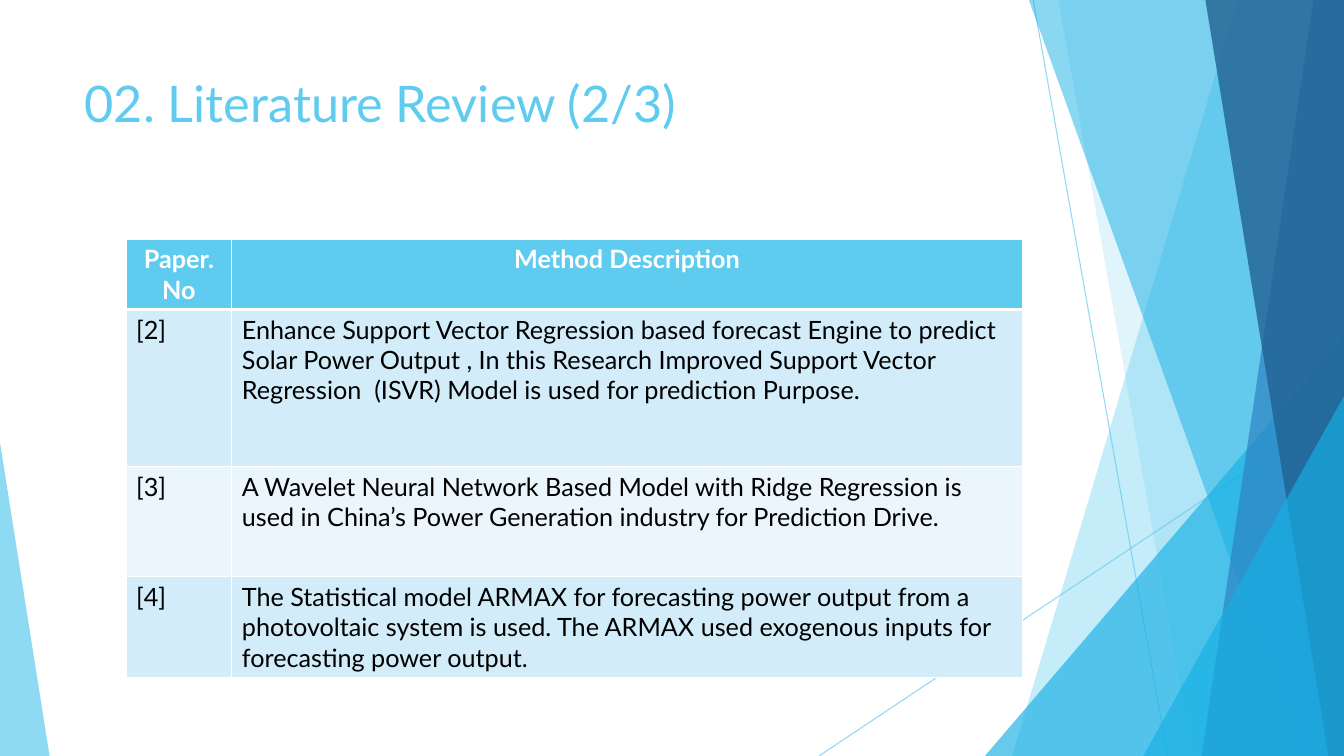
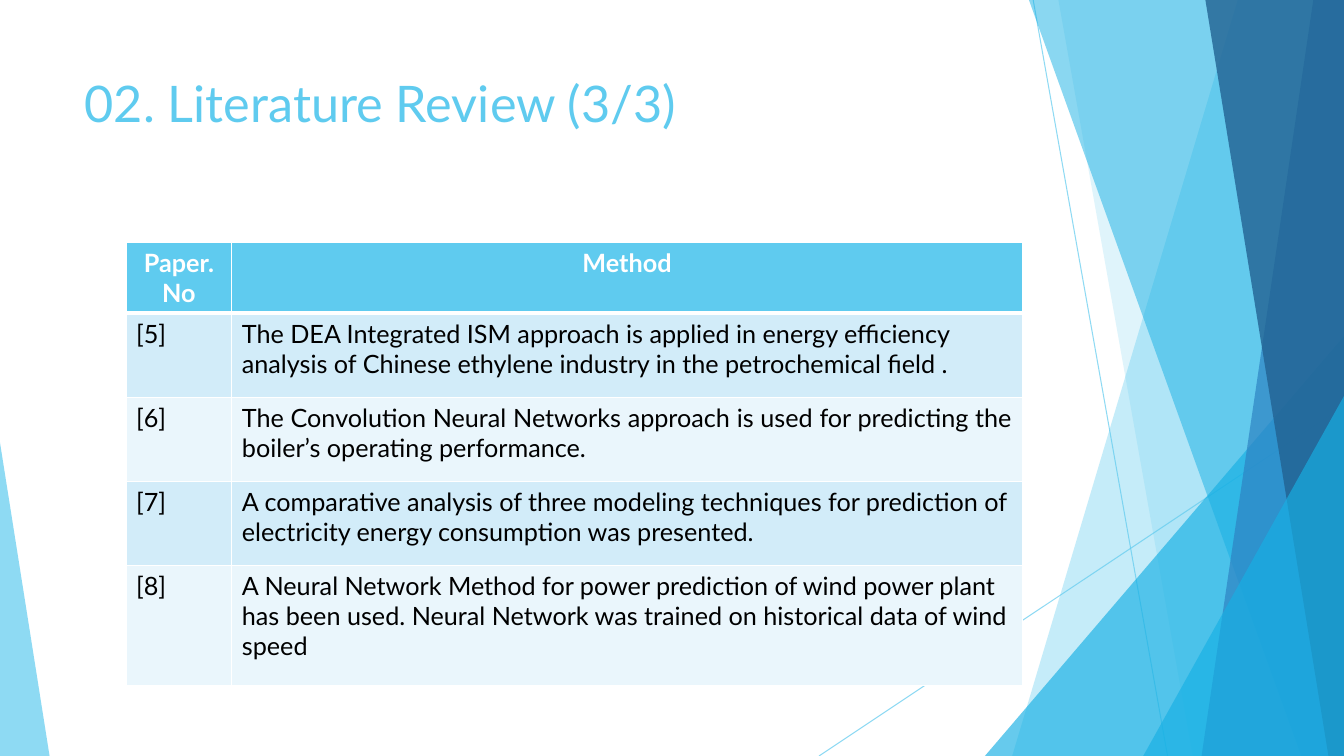
from dataclasses import dataclass
from pptx import Presentation
from pptx.dml.color import RGBColor as RGB
from pptx.enum.shapes import MSO_CONNECTOR as Conn, MSO_SHAPE as Shape
from pptx.enum.text import MSO_ANCHOR as Anchor, PP_ALIGN as Align
from pptx.oxml.ns import qn
from pptx.util import Inches, Pt
from lxml.etree import SubElement


@dataclass(frozen=True)
class Theme:
    font: str = "Lato"
    title_size: int = 36
    table_size: int = 18
    hairline: float = 0.75
    cell_line: float = 1
    header_line: float = 3
    sky: str = "5FCBEF"
    cyan: str = "17B0E4"
    blue: str = "2E83C3"
    navy: str = "226292"
    white: str = "FFFFFF"
    black: str = "000000"
    stripes: tuple = ("D2ECF9", "EAF6FC")


# Grid of square cells covering the slide
COLS, ROWS = 32, 18
WIDTH, HEIGHT = Inches(40 / 3), Inches(7.5)


class Deck:
    def __init__(self, theme):
        self.theme = theme
        self.prs = Presentation()
        self.prs.slide_width, self.prs.slide_height = WIDTH, HEIGHT
        self.s = None

    def at(self, *cells):
        """Turn grid lengths into slide lengths."""
        return [round(c * HEIGHT / ROWS) for c in cells]

    def new_slide(self):
        self.s = self.prs.slides.add_slide(self.prs.slide_layouts[6])

    def fade(self, parent, percent):
        color = parent.find(qn("a:solidFill"))[0]
        SubElement(color, qn("a:alpha"), val=str(percent * 1000))

    def paint(self, sp, color, percent):
        sp.shadow.inherit = False
        sp.fill.solid()
        sp.fill.fore_color.rgb = RGB.from_string(color)
        self.fade(sp._element.spPr, percent)
        sp.line.fill.background()

    def line(self, x1, y1, x2, y2):
        sp = self.s.shapes.add_connector(Conn.STRAIGHT, *self.at(x1, y1, x2, y2))
        sp.line.width = Pt(self.theme.hairline)
        sp.line.color.rgb = RGB.from_string(self.theme.sky)
        self.fade(sp._element.spPr.find(qn("a:ln")), 70)
        SubElement(sp._element.spPr, qn("a:effectLst"))

    def band(self, top, bottom, color, percent):
        """Full-height band from a slanted left edge to the slide's right side."""
        start, *rest = [self.at(x, y) for x, y in
                        ((top, 0), (COLS, 0), (COLS, ROWS), (bottom, ROWS))]
        builder = self.s.shapes.build_freeform(*start, scale=1.0)
        builder.add_line_segments(rest, close=True)
        self.paint(builder.convert_to_shape(), color, percent)

    def corner(self, left, top, right, apex, color, percent):
        """Right triangle standing on the slide's bottom edge."""
        sp = self.s.shapes.add_shape(Shape.ISOSCELES_TRIANGLE,
                                     *self.at(left, top, right - left, ROWS - top))
        sp.adjustments[0] = apex
        self.paint(sp, color, percent)

    def backdrop(self):
        t = self.theme
        self.line(24.6, 0, 27.8, ROWS)
        self.line(COLS, 9.67, 19.5, ROWS)
        self.band(29.47, 24.1, t.sky, 36)
        self.band(25.2, 28.4, t.sky, 20)
        self.corner(23.45, 8, COLS, 1, t.cyan, 66)
        self.band(24.5, 30.98, t.cyan, 50)
        self.band(31.27, 28.61, t.blue, 70)
        self.band(28.7, 31.63, t.navy, 80)
        self.corner(27.22, 9.43, COLS, 1, t.cyan, 66)
        self.corner(0, 10.54, 1.18, 0, t.sky, 70)

    def add_text(self, tf, text, size, color, bold=False, align=Align.LEFT):
        p = tf.paragraphs[0]
        p.alignment = align
        r = p.add_run()
        r.text = text
        r.font.name, r.font.size, r.font.bold = self.theme.font, Pt(size), bold
        r.font.color.rgb = RGB.from_string(color)

    def title(self, text):
        sp = self.s.shapes.add_textbox(*self.at(1.78, 1.6, 22.56, 3.46))
        tf = sp.text_frame
        tf.word_wrap = True
        tf.vertical_anchor = Anchor.TOP
        self.add_text(tf, text, self.theme.title_size, self.theme.sky)

    def border(self, cell, side, width):
        ln = SubElement(cell._tc.get_or_add_tcPr(), qn("a:ln" + side),
                        w=str(Pt(width)))
        SubElement(SubElement(ln, qn("a:solidFill")), qn("a:srgbClr"),
                   val=self.theme.white)

    def cell(self, cell, text, row, align):
        t = self.theme
        header = row == 0
        # Borders come before the fill in the cell's properties
        for side in "LRTB":
            thick = (side == "B" and header) or (side == "T" and row == 1)
            self.border(cell, side, t.header_line if thick else t.cell_line)
        cell.fill.solid()
        fill = t.sky if header else t.stripes[(row - 1) % 2]
        cell.fill.fore_color.rgb = RGB.from_string(fill)
        self.add_text(cell.text_frame, text, t.table_size,
                      t.white if header else t.black, header, align)

    def table(self, top, heading, papers, heights):
        widths = (2.52, 18.82)
        rows = [("Paper. No", heading, Align.CENTER), *papers]
        box = self.at(3, top, sum(widths), sum(heights))
        table = self.s.shapes.add_table(len(rows), len(widths), *box).table
        for col, width in zip(table.columns, self.at(*widths)):
            col.width = width
        for row, height in zip(table.rows, self.at(*heights)):
            row.height = height
        for i, (number, text, align) in enumerate(rows):
            self.cell(table.cell(i, 0), number, i,
                      Align.CENTER if i == 0 else Align.LEFT)
            self.cell(table.cell(i, 1), text, i, align)

    def review(self, title, *table):
        self.new_slide()
        self.backdrop()
        self.title(title)
        self.table(*table)


def main():
    deck = Deck(Theme())

    # Papers 2 to 4
    deck.review("02. Literature Review (2/3)", 5.69, "Method Description", [
        ("[2]", "Enhance Support Vector Regression based forecast Engine to "
         "predict Solar Power Output , In this Research Improved Support Vector "
         "Regression  (ISVR) Model is used for prediction Purpose.", Align.LEFT),
        ("[3]", "A Wavelet Neural Network Based Model with Ridge Regression is "
         "used in China’s Power Generation industry for Prediction Drive.",
         Align.LEFT),
        ("[4]", "The Statistical model ARMAX for forecasting power output from a "
         "photovoltaic system is used. The ARMAX used exogenous inputs for "
         "forecasting power output.", Align.LEFT),
    ], (1.63, 3.74, 2.62, 2.4))

    # Papers 5 to 8
    deck.review("02. Literature Review (3/3)", 5.78, "Method", [
        ("[5]", "The DEA Integrated ISM approach is applied in energy efficiency "
         "analysis of Chinese ethylene industry in the petrochemical field .",
         Align.LEFT),
        ("[6]", "The Convolution Neural Networks approach is used for predicting "
         "the boiler’s operating performance.", Align.JUSTIFY),
        ("[7]", "A comparative analysis of three modeling techniques for "
         "prediction of electricity energy consumption was presented.",
         Align.LEFT),
        ("[8]", "A Neural Network Method for power prediction of wind power plant "
         "has been used. Neural Network was trained on historical data of wind "
         "speed", Align.LEFT),
    ], (1.63, 2, 2, 2, 2.86))

    deck.prs.save("out.pptx")


if __name__ == "__main__":
    main()
